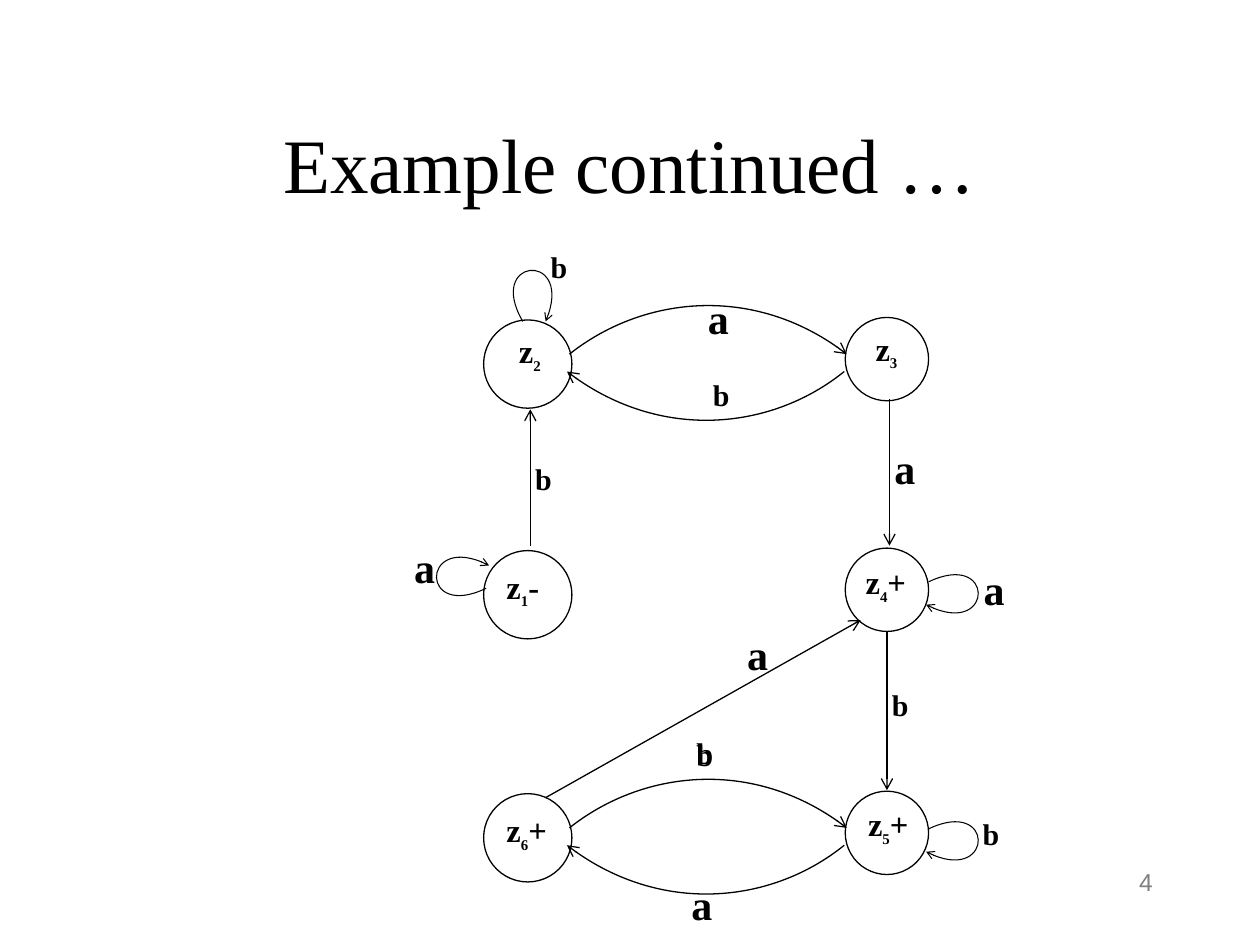
"""Build a slide with the state diagram of a finite automaton."""
from lxml.etree import SubElement
from pptx import Presentation
from pptx.dml.color import RGBColor
from pptx.enum.shapes import MSO_CONNECTOR, MSO_SHAPE
from pptx.enum.text import MSO_ANCHOR, PP_ALIGN
from pptx.oxml.ns import qn
from pptx.util import Cm, Pt

BLACK = "000000"
WHITE = "FFFFFF"
GRAY = "808080"
SERIF = "Times New Roman"


def add_text(box, runs, font="Times New Roman", color=BLACK, bold=True, align=PP_ALIGN.LEFT):
    """Add a text box at (left, top, width, height) with (text, size, baseline) runs."""
    shape = slide.shapes.add_textbox(*map(Cm, box))
    shape.text_frame.word_wrap = True
    paragraph = shape.text_frame.paragraphs[0]
    paragraph.alignment = align
    for text, size, baseline in runs:
        run = paragraph.add_run()
        run.text = text
        run.font.name = font
        run.font.size = Pt(size)
        run.font.bold = bold
        run.font.color.rgb = RGBColor.from_string(color)
        if baseline:
            run.font._element.set("baseline", str(baseline))
    return shape


def style_arrow(shape, width, head_size):
    """Give a line or curve its black stroke and open arrowhead, without a shadow."""
    shape.line.color.rgb = RGBColor.from_string(BLACK)
    shape.line.width = Pt(width)
    properties = shape._element.spPr
    SubElement(properties.find(qn("a:ln")), qn("a:tailEnd"), type="arrow", w=head_size, len=head_size)
    SubElement(properties, qn("a:effectLst"))


presentation = Presentation()
presentation.slide_width = Cm(25.4)
presentation.slide_height = Cm(19.05)
slide = presentation.slides.add_slide(presentation.slide_layouts[6])

title = add_text((1.9, 1.7, 21.6, 3.18), [("Example continued …", 44, 0)],
                 bold=False, align=PP_ALIGN.CENTER)
title.text_frame.vertical_anchor = MSO_ANCHOR.MIDDLE
number = add_text((18.21, 17.35, 5.28, 1.27), [("4", 14, 0)],
                  font="Arial", color=GRAY, bold=False, align=PP_ALIGN.RIGHT)
number.text_frame.paragraphs[0].space_before = Pt(8.8)

LEFT_STATE = (9.75, 1.78)
RIGHT_STATE = (17.04, 1.68)
states = [
    (LEFT_STATE, 11.1, "1", "-", 9.96, 11.3),
    (LEFT_STATE, 6.45, "2", "", 10.21, 6.55),
    (RIGHT_STATE, 6.4, "3", "", 17.4, 6.5),
    (RIGHT_STATE, 11.05, "4", "+", 17.2, 11.2),
    (RIGHT_STATE, 15.95, "5", "+", 17.25, 16.08),
    (LEFT_STATE, 16, "6", "+", 9.96, 16.21),
]
for (left, diameter), top, index, sign, label_left, label_top in states:
    circle = slide.shapes.add_shape(MSO_SHAPE.OVAL, Cm(left), Cm(top), Cm(diameter), Cm(diameter))
    circle.shadow.inherit = False
    circle.fill.solid()
    circle.fill.fore_color.rgb = RGBColor.from_string(WHITE)
    circle.line.color.rgb = RGBColor.from_string(BLACK)
    circle.line.width = Pt(0.75)
    runs = [("z", 18.6, 0), (index, 14.7, -30000)]
    if sign:
        runs.append((sign, 18.6, 0))
    add_text((label_left, label_top, 2.03, 1.14), runs)

straight_arrows = [
    (10.69, 11, 10.69, 8.25),
    (17.93, 8.05, 17.93, 11),
    (17.88, 12.75, 17.88, 15.93),
    (11, 16.08, 17.35, 12.5),
]
for ends in straight_arrows:
    arrow = slide.shapes.add_connector(MSO_CONNECTOR.STRAIGHT, *map(Cm, ends))
    style_arrow(arrow, 0.75, "med")

upper_arc = [(11.48, 7.14), (12.93, 5.99), (15.24, 5.72), (17.07, 7.14)]
lower_arc = [(17.02, 7.49), (15.6, 8.64), (13.28, 8.92), (11.43, 7.49)]
top_loop = [(10.54, 6.48), (9.8, 5.21), (11.61, 5.05), (11, 6.48)]
left_loop = [(9.8, 11.86), (8.48, 12.5), (8.48, 10.69), (9.86, 11.4)]
right_loop = [(18.72, 11.73), (20.04, 11.1), (20.04, 12.9), (18.67, 12.19)]
curves = [
    (upper_arc, 0, 0.75, "med"),
    (lower_arc, 0, 0.75, "med"),
    (upper_arc, 9.55, 0.75, "med"),
    (lower_arc, 9.55, 0.75, "med"),
    (top_loop, 0, 0.6, "sm"),
    (left_loop, 0, 0.6, "sm"),
    (right_loop, 0, 0.6, "sm"),
    (right_loop, 4.98, 0.6, "sm"),
]
for controls, drop, width, head_size in curves:
    start, *others = [(Cm(x), Cm(y + drop)) for x, y in controls]
    builder = slide.shapes.build_freeform(*start)
    builder.add_line_segments(others, close=False)
    curve = builder.convert_to_shape()
    curve.fill.background()
    outline = next(curve._element.iter(qn("a:path")))
    segments = outline.findall(qn("a:lnTo"))
    bezier = SubElement(outline, qn("a:cubicBezTo"))
    for segment in segments:
        bezier.append(segment[0])
        outline.remove(segment)
    style_arrow(curve, width, head_size)

transitions = {
    ("a", 24, 1.91, 1.37): [
        (8.1, 10.8), (14.02, 5.77), (17.78, 8.79), (14.81, 12.55), (19.58, 11.23), (13.69, 17.58),
    ],
    ("b", 17.1, 2.57, 1.04): [
        (10.85, 4.88), (14.12, 7.47), (10.54, 9.17), (17.73, 13.72),
        (13.79, 14.68), (13.79, 14.73), (19.56, 16.31),
    ],
}
for (letter, size, width, height), places in transitions.items():
    for left, top in places:
        add_text((left, top, width, height), [(letter, size, 0)])

presentation.save("out.pptx")
